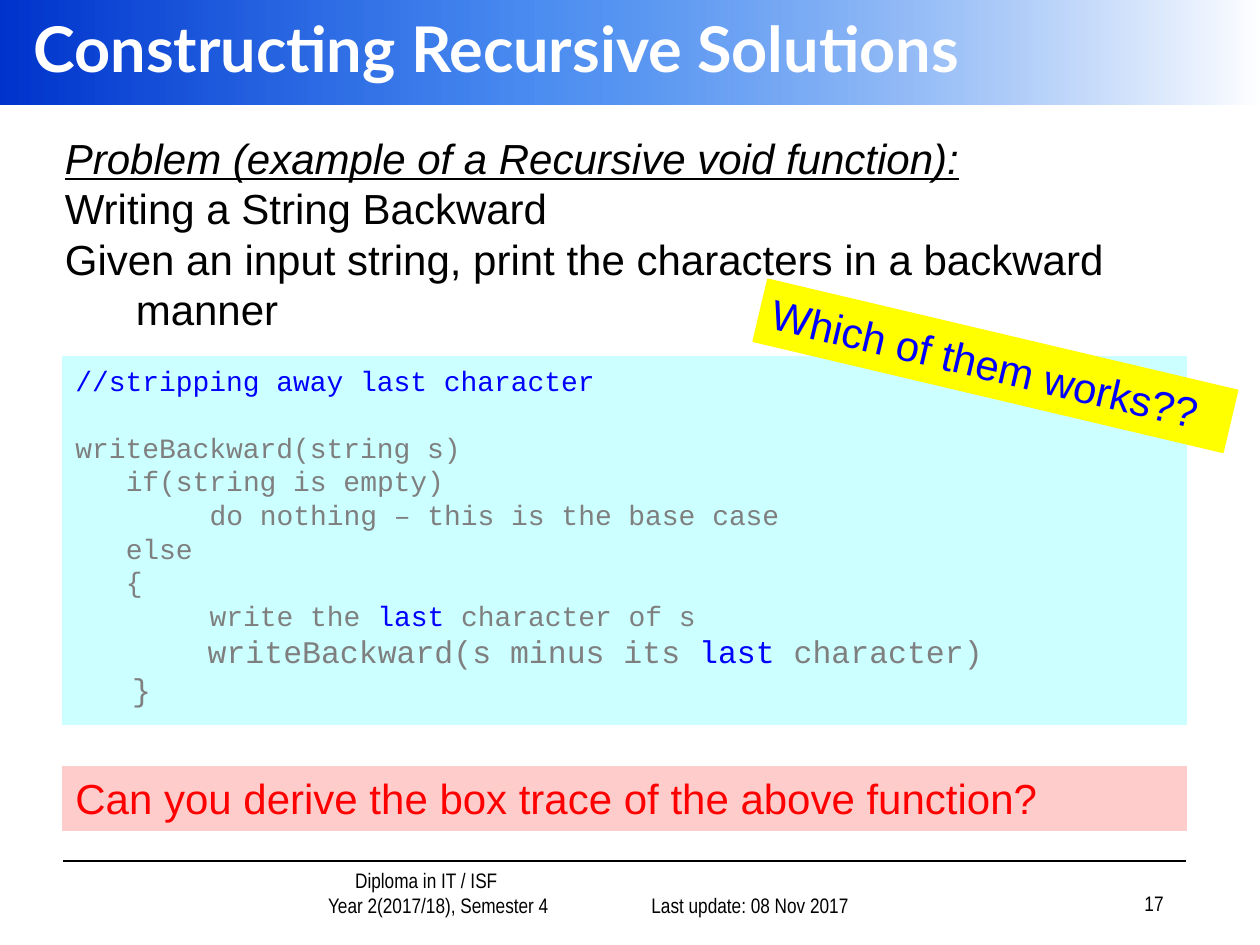
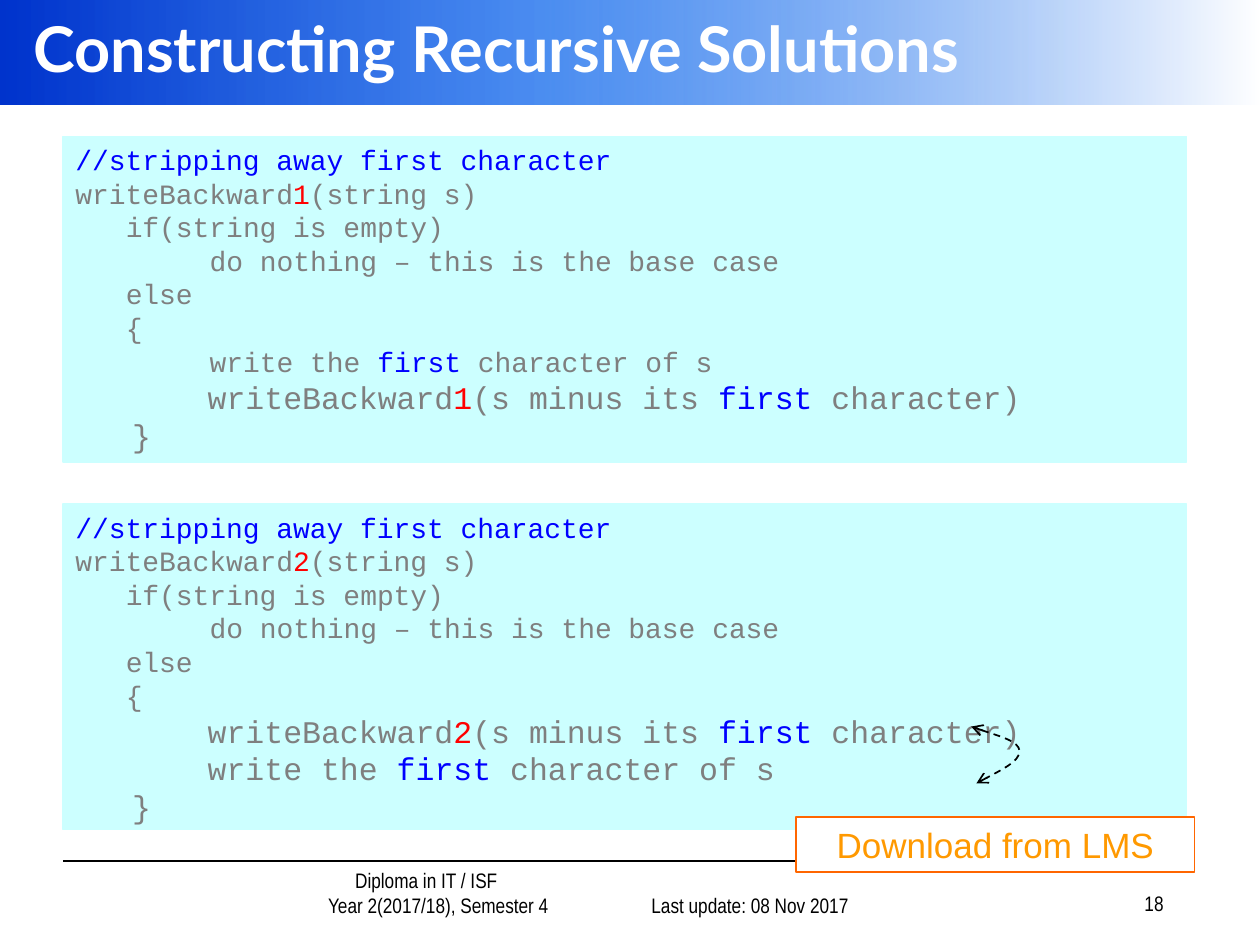
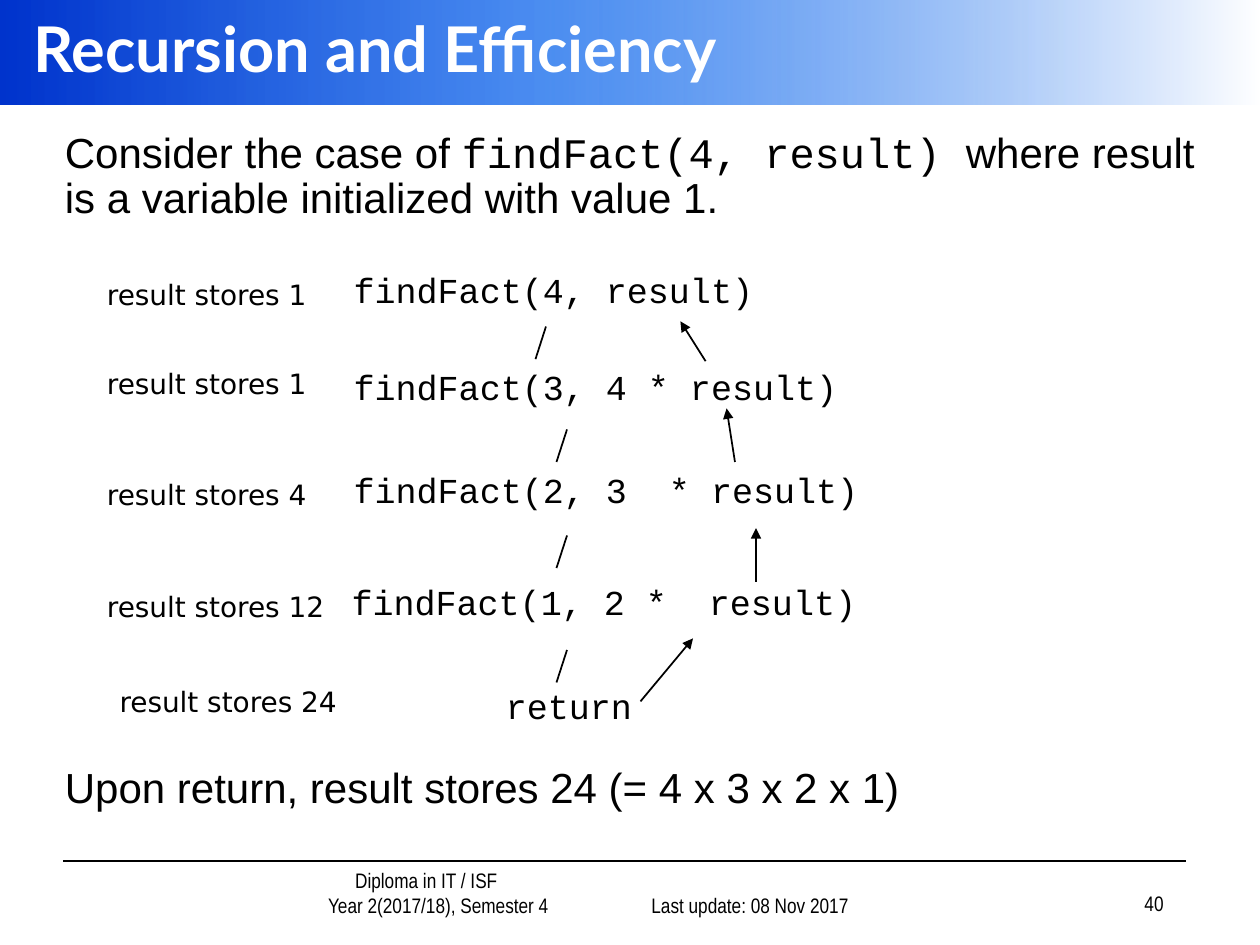
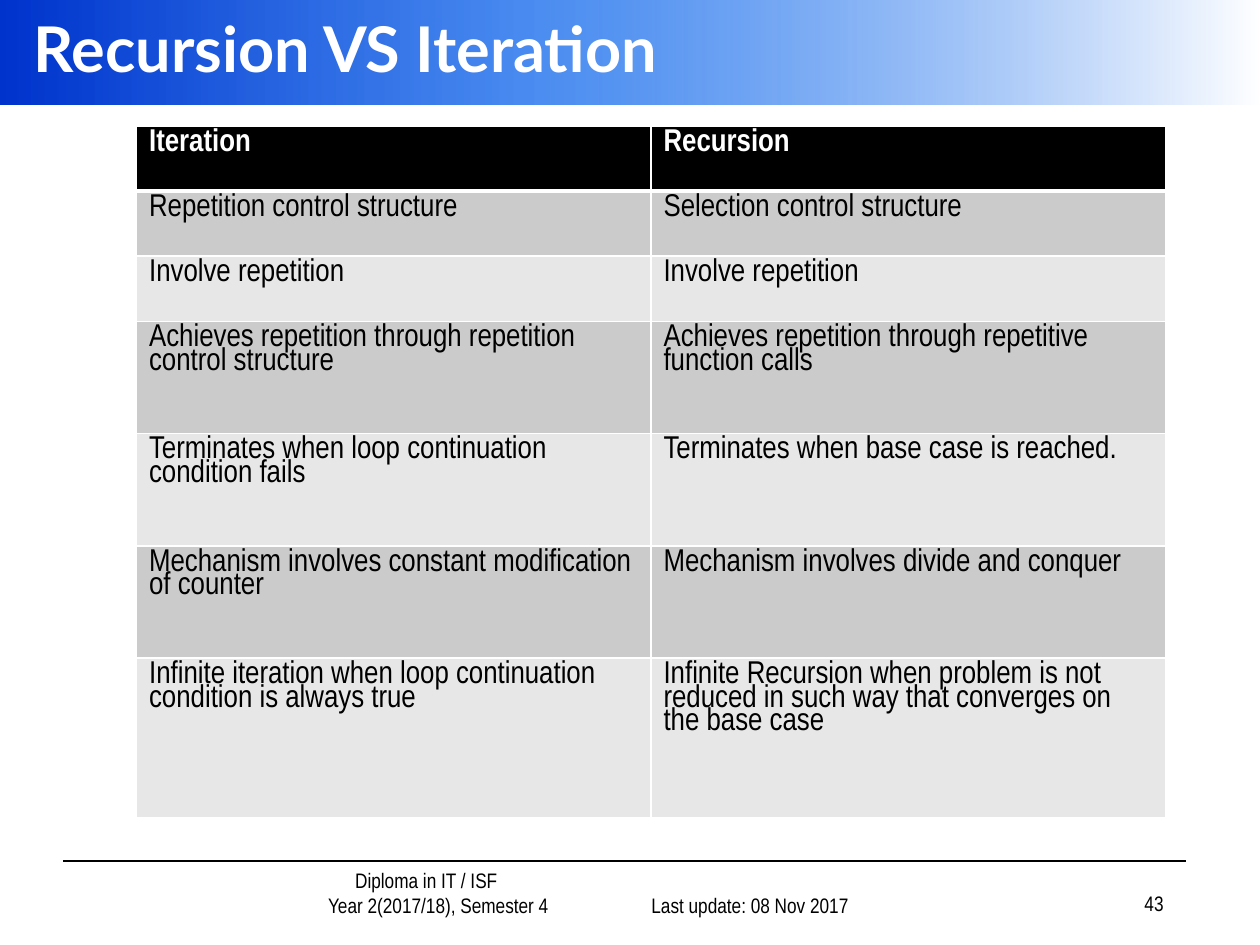
import dataclasses
import typing

import lxml.etree
import pptx
import pptx.dml.color
import pptx.enum.dml
import pptx.enum.shapes
import pptx.enum.text
import pptx.oxml.ns
import pptx.util

RGB = pptx.dml.color.RGBColor
ALIGN = pptx.enum.text.PP_ALIGN
ANCHOR = pptx.enum.text.MSO_ANCHOR
qn = pptx.oxml.ns.qn

SLIDE_WIDTH = pptx.util.Inches(10)
SLIDE_HEIGHT = pptx.util.Inches(7.5)
COLUMN = SLIDE_WIDTH / 120
ROW = SLIDE_HEIGHT / 90

BLACK = RGB(0x00, 0x00, 0x00)
WHITE = RGB(0xFF, 0xFF, 0xFF)
GREY = RGB(0x7F, 0x7F, 0x7F)
BLUE = RGB(0x00, 0x00, 0xFF)
RED = RGB(0xFF, 0x00, 0x00)
ORANGE = RGB(0xFF, 0x99, 0x00)
DEEP_ORANGE = RGB(0xFF, 0x66, 0x00)
YELLOW = RGB(0xFF, 0xFF, 0x00)
PALE_CYAN = RGB(0xCC, 0xFF, 0xFF)
PALE_RED = RGB(0xFF, 0xCC, 0xCC)
DARK_BAND = RGB(0xCB, 0xCB, 0xCB)
LIGHT_BAND = RGB(0xE7, 0xE7, 0xE7)
TITLE_BLUE = RGB(0x00, 0x33, 0xCC)
MIDDLE_BLUE = RGB(0x00, 0x5E, 0xEB)

MONO_ADVANCE = 0.6


class Area(typing.NamedTuple):
    column: float
    row: float
    columns: float
    rows: float


class Stroke(typing.NamedTuple):
    column: float
    row: float
    end_column: float
    end_row: float


class GradientStop(typing.NamedTuple):
    percent: int
    color: RGB
    opacity: int


@dataclasses.dataclass(frozen=True)
class Look:
    font: str
    size: float
    color: RGB = BLACK
    bold: bool = False
    italic: bool = False
    underline: bool = False


@dataclasses.dataclass(frozen=True)
class Span:
    text: str
    look: Look


@dataclasses.dataclass(frozen=True)
class Line:
    spans: tuple[Span, ...]
    margin: float = 0
    hanging: float = 0
    before: float = 0
    spacing: float | None = None
    align: ALIGN = ALIGN.LEFT


@dataclasses.dataclass(frozen=True)
class Panel:
    area: Area
    fill: RGB
    border: RGB
    lines: tuple[Line, ...]
    rotation: float = 0


@dataclasses.dataclass(frozen=True)
class Call:
    text: str
    column: float
    row: float
    stored: str
    stored_column: float
    stored_row: float


TITLE = Look("Lato", 36, WHITE, bold=True)
FOOTER = Look("Arial Narrow", 12)
BODY = Look("Arial", 24)
BODY_CODE = Look("Courier New", 24)
CALL = Look("Courier New", 20)
STORED = Look("DejaVu Sans", 16)
CELL = Look("Arial Narrow", 18)

TITLE_BAND = Area(0, 0, 120, 10)
BAND_STOPS = (
    GradientStop(0, TITLE_BLUE, 100),
    GradientStop(43, MIDDLE_BLUE, 70),
    GradientStop(100, WHITE, 100),
)
FOOTER_RULE = Stroke(6, 82, 113, 82)

CALLS = (
    Call("findFact(4, result)", 32.5, 25, "result stores 1", 9, 25.8),
    Call("findFact(3, 4 * result)", 32.5, 34.2, "result stores 1", 9, 34.3),
    Call("findFact(2, 3  * result)", 32.5, 44, "result stores 4", 9, 44.9),
    Call("findFact(1, 2 *  result)", 32.3, 54.7, "result stores 12", 9, 55.6),
    Call("return", 47, 64.6, "result stores 24", 10.2, 64.6),
)
DESCENT_STARTS = ((52, 31.1), (54, 40.9), (54, 51), (54, 61.9))
RETURNS = (
    Stroke(61, 66.8, 66, 60.8),
    Stroke(72, 55.4, 72, 50.3),
    Stroke(70, 44, 69.2, 38.9),
    Stroke(67.2, 34.4, 64.8, 30.6),
)
SWAP_CURVE = (
    (92.5, 69.2), (94.8, 70), (97, 70.6), (97.1, 71.5),
    (97.2, 72.5), (93, 74.6), (93, 74.6),
)

COMPARISON = (
    ("Iteration", "Recursion"),
    ("Repetition control structure", "Selection control structure"),
    ("Involve repetition", "Involve repetition"),
    ("Achieves repetition through repetition control structure",
     "Achieves repetition through repetitive function calls"),
    ("Terminates when loop continuation condition fails",
     "Terminates when base case is reached."),
    ("Mechanism involves constant modification of counter",
     "Mechanism involves divide and conquer"),
    ("Infinite iteration when loop continuation condition is always true",
     "Infinite Recursion when problem is not reduced in such way that "
     "converges on the base case"),
)
COMPARISON_ROWS = (6.2, 6.2, 6.2, 10.7, 10.7, 10.7, 15.2)


def across(columns: float) -> int:
    return round(columns * COLUMN)


def down(rows: float) -> int:
    return round(rows * ROW)


def place(area: Area) -> tuple[int, int, int, int]:
    return across(area.column), down(area.row), across(area.columns), down(area.rows)


def plain(text: str, look: Look, **layout) -> Line:
    return Line((Span(text, look),), **layout)


def format_run(run, look: Look) -> None:
    run.font.name = look.font
    run.font.size = pptx.util.Pt(look.size)
    run.font.color.rgb = look.color
    run.font.bold = look.bold
    run.font.italic = look.italic
    run.font.underline = look.underline


def write(frame, lines: typing.Sequence[Line], anchor: ANCHOR = ANCHOR.TOP) -> None:
    frame.word_wrap = True
    frame.vertical_anchor = anchor
    for number, line in enumerate(lines):
        paragraph = frame.add_paragraph() if number else frame.paragraphs[0]
        paragraph.alignment = line.align
        paragraph.space_before = pptx.util.Pt(line.before)
        if line.spacing:
            paragraph.line_spacing = line.spacing
        if line.margin:
            properties = paragraph._p.get_or_add_pPr()
            properties.set("marL", str(across(line.margin)))
            properties.set("indent", str(-across(line.hanging)))
        for span in line.spans:
            run = paragraph.add_run()
            run.text = span.text
            format_run(run, span.look)


def draw_text(slide, area: Area, *lines: Line, anchor: ANCHOR = ANCHOR.TOP) -> None:
    write(slide.shapes.add_textbox(*place(area)).text_frame, lines, anchor)


def draw_rectangle(slide, area: Area):
    rectangle = slide.shapes.add_shape(
        pptx.enum.shapes.MSO_SHAPE.RECTANGLE, *place(area))
    rectangle.shadow.inherit = False
    return rectangle


def draw_panel(slide, panel: Panel) -> None:
    rectangle = draw_rectangle(slide, panel.area)
    rectangle.rotation = panel.rotation
    rectangle.fill.solid()
    rectangle.fill.fore_color.rgb = panel.fill
    rectangle.line.color.rgb = panel.border
    rectangle.line.width = pptx.util.Pt(0.75)
    write(rectangle.text_frame, panel.lines)


def add_arrowhead(line, end: str, kind: str) -> None:
    lxml.etree.SubElement(line._get_or_add_ln(), qn(f"a:{end}"), type=kind)


def draw_stroke(slide, stroke: Stroke, arrow: bool = False) -> None:
    connector = slide.shapes.add_connector(
        pptx.enum.shapes.MSO_CONNECTOR.STRAIGHT,
        across(stroke.column), down(stroke.row),
        across(stroke.end_column), down(stroke.end_row))
    connector.line.color.rgb = BLACK
    connector.line.width = pptx.util.Pt(1)
    if arrow:
        add_arrowhead(connector.line, "tailEnd", "triangle")
    lxml.etree.SubElement(connector._element.spPr, qn("a:effectLst"))


def draw_title_band(slide) -> None:
    band = draw_rectangle(slide, TITLE_BAND)
    band.line.fill.background()
    band.fill.gradient()
    band.fill.gradient_angle = 0
    stops = band._element.spPr.find(qn("a:gradFill")).find(qn("a:gsLst"))
    for default_stop in list(stops):
        stops.remove(default_stop)
    for stop in BAND_STOPS:
        entry = lxml.etree.SubElement(stops, qn("a:gs"), pos=str(stop.percent * 1000))
        color = lxml.etree.SubElement(entry, qn("a:srgbClr"), val=str(stop.color))
        if stop.opacity < 100:
            lxml.etree.SubElement(color, qn("a:alpha"), val=str(stop.opacity * 1000))


def start_slide(deck, title: str, number: int):
    slide = deck.slides.add_slide(deck.slide_layouts[6])
    draw_text(
        slide, Area(20.2, 83, 34.8, 5),
        plain("Diploma in IT / ISF", FOOTER, margin=6, align=ALIGN.CENTER),
        plain("Year 2(2017/18), Semester 4", FOOTER, margin=8.3, align=ALIGN.CENTER),
        anchor=ANCHOR.BOTTOM)
    draw_stroke(slide, FOOTER_RULE)
    draw_title_band(slide)
    draw_text(slide, Area(57, 83, 25, 5),
              plain("Last update: 08 Nov 2017", FOOTER, align=ALIGN.RIGHT),
              anchor=ANCHOR.BOTTOM)
    draw_text(slide, Area(87, 82.8, 25, 5),
              plain(str(number), FOOTER, align=ALIGN.RIGHT), anchor=ANCHOR.BOTTOM)
    draw_text(slide, Area(2, 0, 118, 9), plain(title, TITLE), anchor=ANCHOR.MIDDLE)
    return slide


def code_line(*pieces: tuple[str, RGB], size: float = 16, characters: int = 0,
              before: float = 0) -> Line:
    spans = tuple(Span(text, Look("Courier New", size, color))
                  for text, color in pieces if text)
    margin = pptx.util.Pt(characters * size * MONO_ADVANCE) / COLUMN
    return Line(spans, margin=margin, before=before)


def write_step(end: str, size: float, characters: int) -> Line:
    return code_line(("write the ", GREY), (end, BLUE), (" character of s", GREY),
                     size=size, characters=characters)


def recurse_step(end: str, version: str = "") -> Line:
    return code_line(("writeBackward", GREY), (version, RED), ("(s minus its ", GREY),
                     (end, BLUE), (" character)", GREY), size=18, characters=7)


def backward_code(area: Area, end: str, steps: tuple[Line, Line],
                  version: str = "", gap: float = 0) -> Panel:
    lines = (
        code_line((f"//stripping away {end} character", BLUE)),
        code_line(("writeBackward", GREY), (version, RED), ("(string s)", GREY),
                  before=gap),
        code_line(("if(string is empty)", GREY), characters=3),
        code_line(("do nothing – this is the base case", GREY), characters=8),
        code_line(("else", GREY), characters=3),
        code_line(("{", GREY), characters=3),
        *steps,
        code_line(("}", GREY), size=18, characters=3),
    )
    return Panel(area, PALE_CYAN, PALE_CYAN, lines)


def build_problem(deck) -> None:
    slide = start_slide(deck, "Constructing Recursive Solutions", 17)
    heading = dataclasses.replace(BODY, italic=True, underline=True)
    hang = {"margin": 6.75, "hanging": 6.75}
    draw_text(
        slide, Area(5, 12, 112, 40),
        plain("Problem (example of a Recursive void function):", heading, **hang),
        plain("Writing a String Backward", BODY, **hang),
        plain("Given an input string, print the characters in a backward manner",
              BODY, **hang))
    draw_panel(slide, backward_code(
        Area(6, 34, 107, 35), "last",
        (write_step("last", 16, 8), recurse_step("last")), gap=19.2))
    question = dataclasses.replace(BODY, color=BLUE)
    draw_panel(slide, Panel(Area(71.8, 31.8, 46, 6.1), YELLOW, YELLOW,
                            (plain("Which of them works??", question),), 13.3))
    exercise = dataclasses.replace(BODY, color=RED)
    draw_panel(slide, Panel(
        Area(6, 73, 107, 6.1), PALE_RED, PALE_RED,
        (plain("Can you derive the box trace of the above function?", exercise),)))


def draw_swap_arrow(slide) -> None:
    start, *controls = [(across(column), down(row)) for column, row in SWAP_CURVE]
    builder = slide.shapes.build_freeform(*start)
    builder.add_line_segments(controls, close=False)
    swap = builder.convert_to_shape()
    swap.shadow.inherit = False
    swap.fill.background()
    swap.line.color.rgb = BLACK
    swap.line.width = pptx.util.Pt(1)
    swap.line.dash_style = pptx.enum.dml.MSO_LINE.DASH
    for end in ("headEnd", "tailEnd"):
        add_arrowhead(swap.line, end, "arrow")
    outline = next(swap._element.iter(qn("a:path")))
    segments = outline.findall(qn("a:lnTo"))
    for first in range(0, len(segments), 3):
        curve = lxml.etree.SubElement(outline, qn("a:cubicBezTo"))
        for segment in segments[first:first + 3]:
            curve.append(segment[0])
            outline.remove(segment)


def build_versions(deck) -> None:
    slide = start_slide(deck, "Constructing Recursive Solutions", 18)
    draw_panel(slide, backward_code(
        Area(6, 13, 107, 31), "first",
        (write_step("first", 16, 8), recurse_step("first", "1")), "1"))
    draw_panel(slide, backward_code(
        Area(6, 48, 107, 31), "first",
        (recurse_step("first", "2"), write_step("first", 18, 7)), "2"))
    draw_swap_arrow(slide)
    draw_panel(slide, Panel(
        Area(75.8, 77.8, 38, 5.25), WHITE, DEEP_ORANGE,
        (plain("Download from LMS", Look("Arial", 20, ORANGE), align=ALIGN.CENTER),)))


def build_efficiency(deck) -> None:
    slide = start_slide(deck, "Recursion and Efficiency", 40)
    draw_text(
        slide, Area(5, 12, 112, 68),
        Line((Span("Consider the case of ", BODY),
              Span("findFact(4, result) ", BODY_CODE),
              Span("where result is a variable initialized with value 1.", BODY)),
             spacing=0.9),
        plain("Upon return, result stores 24 (= 4 x 3 x 2 x 1)", BODY,
              before=311, spacing=0.9))
    for call in CALLS:
        draw_text(slide, Area(call.column, call.row, 57, 5.3), plain(call.text, CALL))
        draw_text(slide, Area(call.stored_column, call.stored_row, 57, 4.4),
                  plain(call.stored, STORED))
    for column, row in DESCENT_STARTS:
        draw_stroke(slide, Stroke(column, row, column - 1, row + 3.1))
    for stroke in RETURNS:
        draw_stroke(slide, stroke, arrow=True)


def border_cell(cell, top: float, bottom: float) -> None:
    properties = cell._tc.get_or_add_tcPr()
    edges = (("lnL", 1), ("lnR", 1), ("lnT", top), ("lnB", bottom))
    for position, (edge, width) in enumerate(edges):
        border = lxml.etree.Element(qn(f"a:{edge}"), w=str(pptx.util.Pt(width)))
        paint = lxml.etree.SubElement(border, qn("a:solidFill"))
        lxml.etree.SubElement(paint, qn("a:srgbClr"), val=str(WHITE))
        properties.insert(position, border)


def build_comparison(deck) -> None:
    slide = start_slide(deck, "Recursion VS Iteration", 43)
    area = Area(13, 12, 98, sum(COMPARISON_ROWS))
    comparison = slide.shapes.add_table(len(COMPARISON), 2, *place(area)).table
    for column in comparison.columns:
        column.width = across(area.columns / 2)
    for number, (texts, rows) in enumerate(zip(COMPARISON, COMPARISON_ROWS)):
        comparison.rows[number].height = down(rows)
        if number == 0:
            fill, look = BLACK, dataclasses.replace(CELL, color=WHITE, bold=True)
        else:
            fill, look = (DARK_BAND if number % 2 else LIGHT_BAND), CELL
        for cell, text in zip(comparison.rows[number].cells, texts):
            cell.fill.solid()
            cell.fill.fore_color.rgb = fill
            border_cell(cell, 3 if number == 1 else 1, 3 if number == 0 else 1)
            paragraph = cell.text_frame.paragraphs[0]
            paragraph.text = text
            paragraph.line_spacing = 0.8
            format_run(paragraph.runs[0], look)


def main() -> None:
    deck = pptx.Presentation()
    deck.slide_width = SLIDE_WIDTH
    deck.slide_height = SLIDE_HEIGHT
    build_problem(deck)
    build_versions(deck)
    build_efficiency(deck)
    build_comparison(deck)
    deck.save("out.pptx")


if __name__ == "__main__":
    main()
